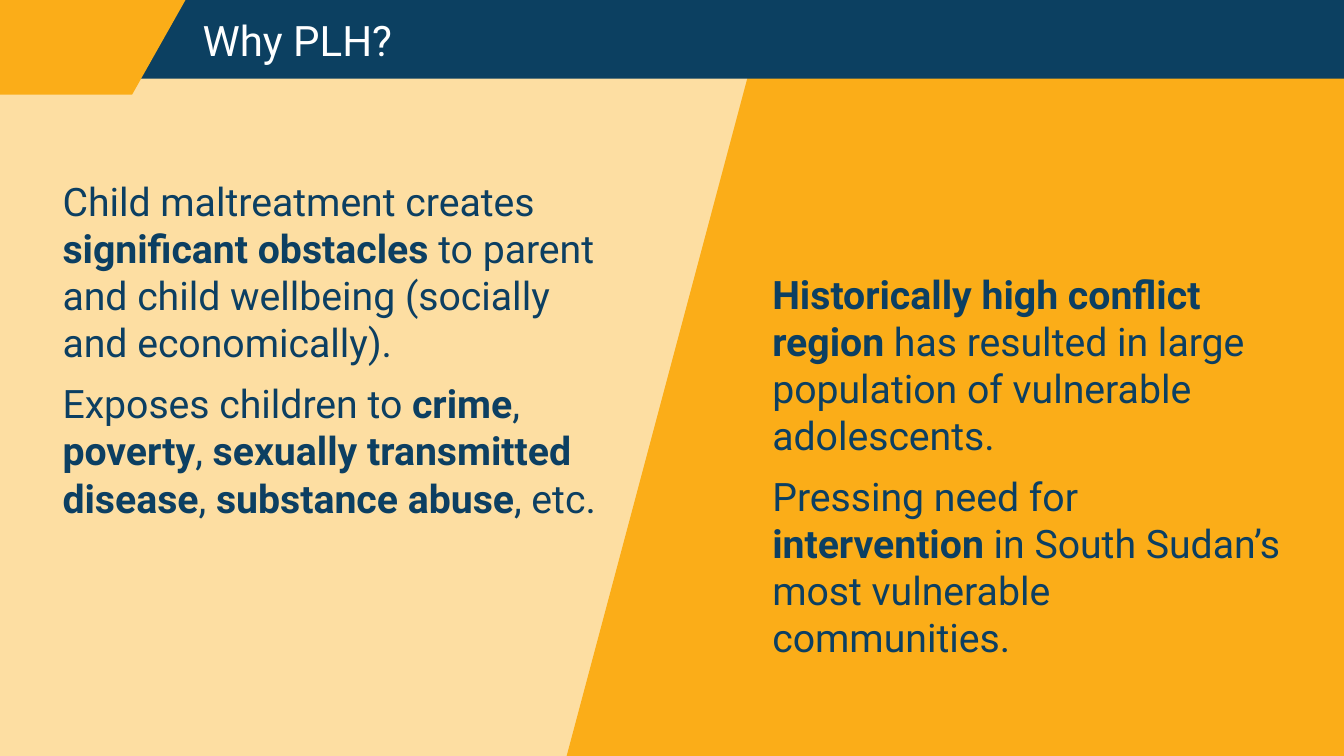
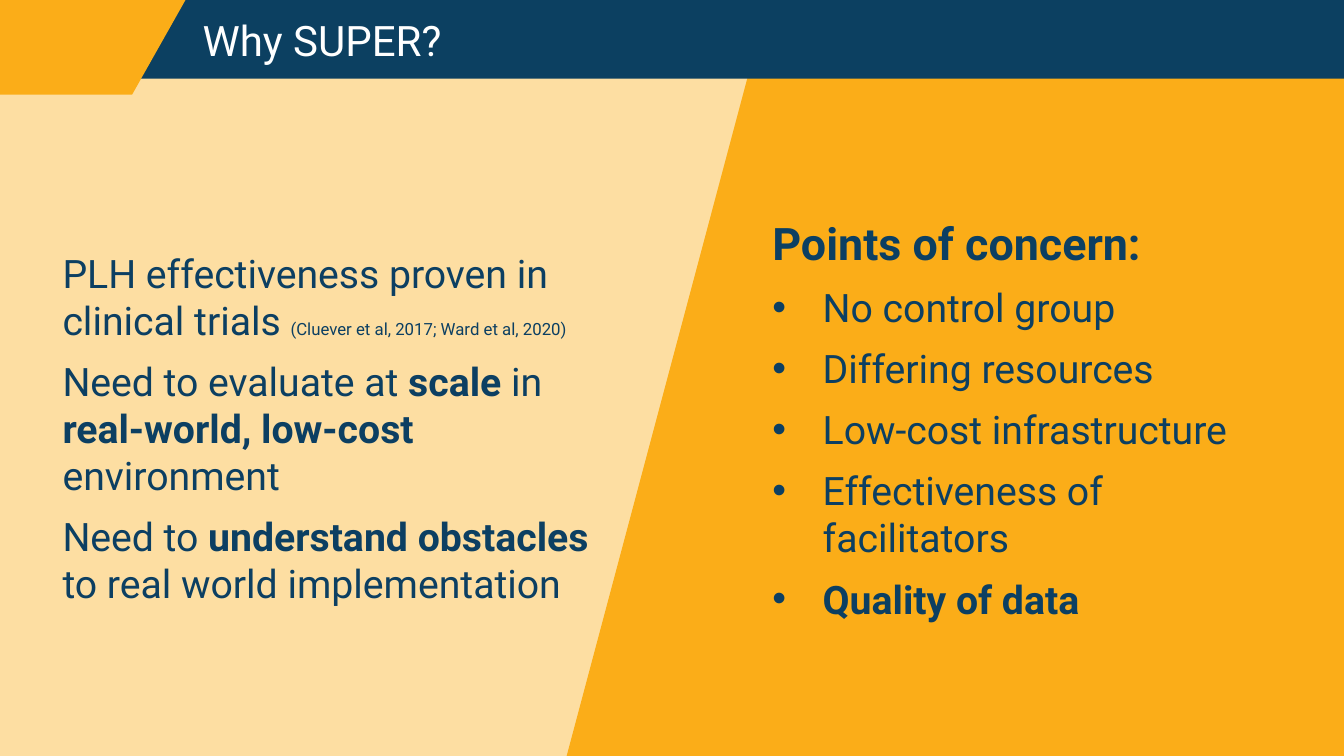
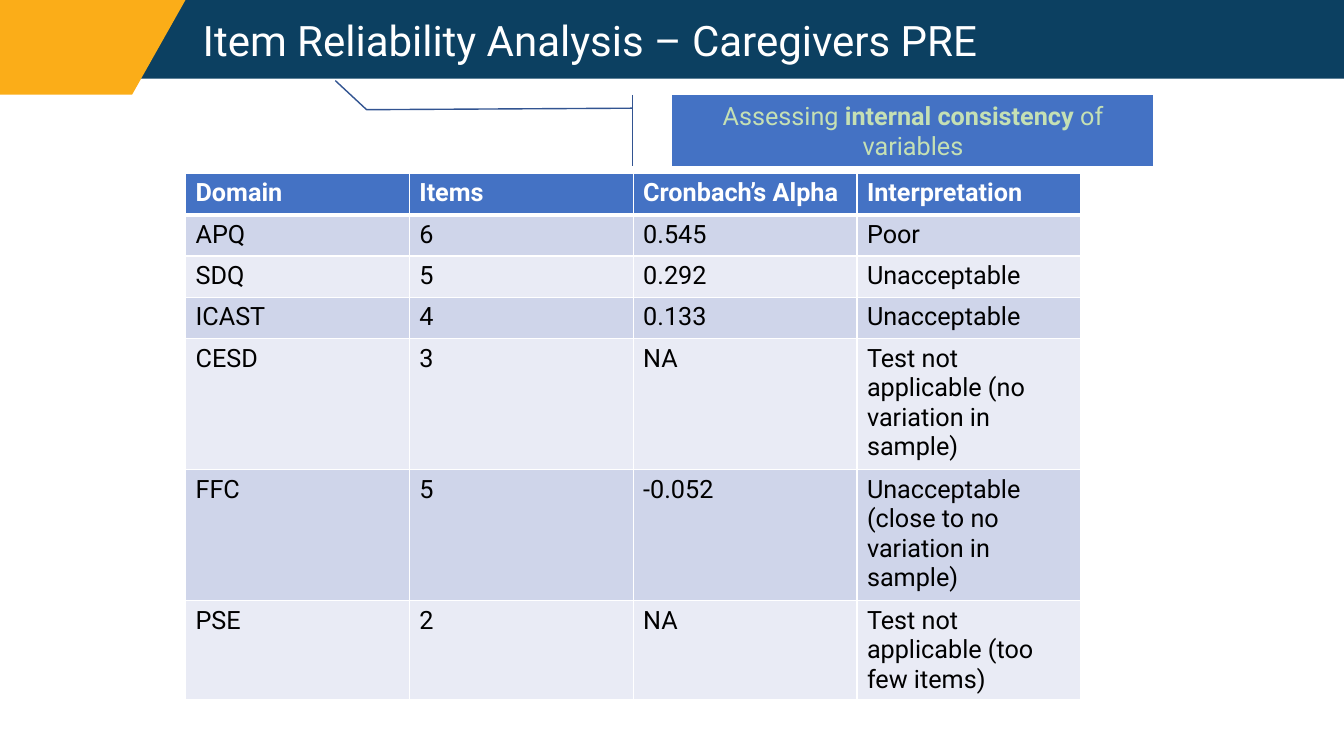
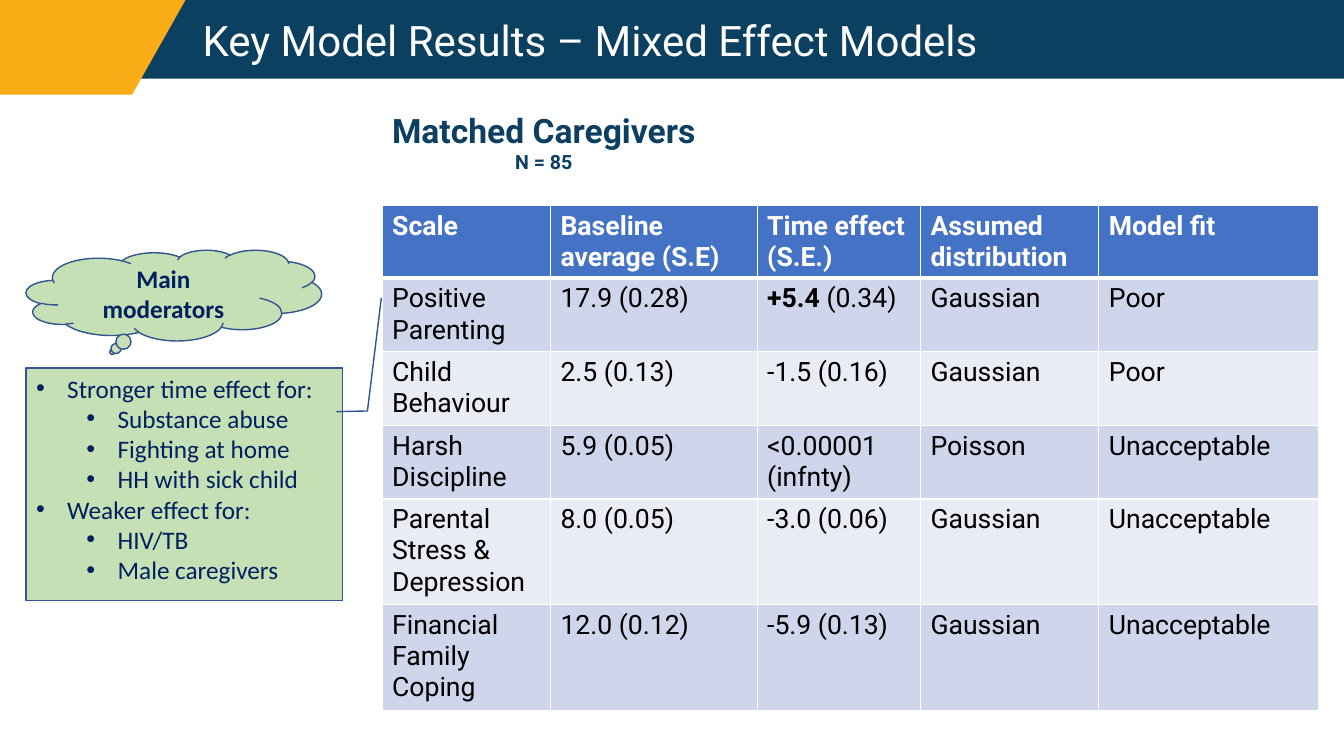
from dataclasses import dataclass

from lxml import etree
from pptx import Presentation
from pptx import util as u
from pptx.dml import color
from pptx.enum import shapes, text
from pptx.oxml import ns

NAVY, GOLD, WHITE, BLACK = "0C4061", "FBAD18", "FFFFFF", "000000"
INK, DEEP, BLUE, EDGE, GREEN = "0C3F62", "002060", "4472C4", "325491", "C5E0B4"
STRIPES = ("CFD5EA", "E9EBF5")
WIDE, HIGH, BAND = 13.33, 7.5, 0.71
KIND, ALIGN, ANCHOR = shapes.MSO_SHAPE, text.PP_ALIGN, text.MSO_ANCHOR


@dataclass
class Box:
    left: float
    top: float
    width: float
    height: float

    def lengths(self) -> list:
        return [u.Inches(n) for n in (self.left, self.top, self.width, self.height)]


@dataclass
class Line:
    """One paragraph; *stars* mark bold words and small is a trailing note."""
    text: str
    size: float = 28
    small: str = ""
    bullet: bool = False


@dataclass
class Column:
    box: Box
    lines: list


@dataclass
class Grid:
    box: Box
    cols: list
    rows: list
    size: float
    cells: list


# Formatting helpers
def rgb(code: str) -> color.RGBColor:
    return color.RGBColor.from_string(code)


def sub(node, tag: str, **attrs):
    return etree.SubElement(node, ns.qn(tag), attrs)


def paint(shape, fill: str, line: str = "", alpha: int = 100) -> None:
    shape.shadow.inherit = False
    shape.fill.solid()
    shape.fill.fore_color.rgb = rgb(fill)
    if alpha < 100:
        tint = shape.fill._xPr.find(".//" + ns.qn("a:srgbClr"))
        sub(tint, "a:alpha", val=str(alpha * 1000))
    if line:
        shape.line.color.rgb = rgb(line)
        shape.line.width = u.Pt(1)
    else:
        shape.line.fill.background()


def write(frame, words: str, size: float = 18, face: str = "Roboto", ink: str = INK,
          bold: bool = False, align=ALIGN.LEFT, after: float = 0, spacing: float = 1,
          left: float = 0, hang: float = 0, level: int = 0, small: str = "") -> None:
    """Add one paragraph; a hanging indent brings a bullet."""
    par = frame.paragraphs[0] if not frame.text else frame.add_paragraph()
    par.alignment, par.level, par.line_spacing = align, level, spacing
    par.space_before, par.space_after = u.Pt(0), u.Pt(after)
    props = par._p.get_or_add_pPr()
    props.set("marL", str(u.Inches(left)))
    props.set("indent", str(-u.Inches(hang)))
    if hang:
        sub(props, "a:buFont", typeface="Arial")
        sub(props, "a:buChar", char="•")
    else:
        sub(props, "a:buNone")
    parts = [(part, size, bold or i % 2 == 1) for i, part in enumerate(words.split("*"))]
    parts.append((small, 12, bold))
    for part, points, heavy in parts:
        if part:
            run = par.add_run()
            run.text = part
            run.font.name, run.font.size, run.font.bold = face, u.Pt(points), heavy
            run.font.color.rgb = rgb(ink)


def setup(frame, inset: tuple = (0.1, 0.05), anchor=ANCHOR.TOP) -> None:
    frame.word_wrap, frame.auto_size = True, text.MSO_AUTO_SIZE.NONE
    frame.vertical_anchor = anchor
    frame.margin_left = frame.margin_right = u.Inches(inset[0])
    frame.margin_top = frame.margin_bottom = u.Inches(inset[1])


# Shapes
def add(tree, kind, box: Box, fill: str, line: str = "", anchor=ANCHOR.MIDDLE, adjust: tuple = ()):
    shape = tree.add_shape(kind, *box.lengths())
    paint(shape, fill, line)
    for i, value in enumerate(adjust):
        shape.adjustments[i] = value
    setup(shape.text_frame, anchor=anchor)
    return shape


def outline(slide, points: list, alpha: int = 100) -> None:
    spots = [(u.Inches(x), u.Inches(y)) for x, y in points]
    pen = slide.shapes.build_freeform(*spots[0])
    pen.add_line_segments(spots[1:], close=True)
    paint(pen.convert_to_shape(), GOLD, alpha=alpha)


def place(slide, holder, box: Box) -> None:
    """Move a placeholder and bring it to the front."""
    holder.left, holder.top, holder.width, holder.height = box.lengths()
    slide.shapes._spTree.append(holder._element)


def header(slide, words: str) -> None:
    add(slide.shapes, KIND.RECTANGLE, Box(1.31, 0, 12.02, 0.78), NAVY)
    outline(slide, [(0, 0), (1.84, 0), (1.31, 0.94), (0, 0.94)])
    title = slide.shapes.title
    place(slide, title, Box(1.91, 0.15, 11.42, 0.56))
    setup(title.text_frame, anchor=ANCHOR.MIDDLE)
    write(title.text_frame, words, size=30, ink=WHITE, spacing=0.9)


def split(deck, words: str, *columns: Column) -> None:
    """Slide with a pale left half, a gold right half and a text in each."""
    slide = deck.slides.add_slide(deck.slide_layouts[3])
    bodies = [h for h in slide.placeholders if h.placeholder_format.idx]
    outline(slide, [(7.43, BAND), (WIDE, BAND), (WIDE, HIGH), (5.62, HIGH)])
    outline(slide, [(0, BAND), (8.39, BAND), (5.78, HIGH), (0, HIGH)], alpha=40)
    header(slide, words)
    for body, column in zip(bodies, columns):
        place(slide, body, column.box)
        setup(body.text_frame, (0.18, 0.18))
        for line in column.lines:
            dent = 0.5 if line.bullet else 0
            write(body.text_frame, line.text, size=line.size, after=10,
                  left=dent, hang=dent, small=line.small)


def plain(deck, words: str):
    slide = deck.slides.add_slide(deck.slide_layouts[5])
    header(slide, words)
    return slide


# Tables
def edge(cell, side: str, points: float) -> None:
    line = sub(cell._tc.get_or_add_tcPr(), "a:ln" + side, w=str(u.Pt(points)))
    sub(sub(line, "a:solidFill"), "a:srgbClr", val=WHITE)


def table(slide, grid: Grid) -> None:
    frame = slide.shapes.add_table(len(grid.rows), len(grid.cols), *grid.box.lengths())
    for col, width in zip(frame.table.columns, grid.cols):
        col.width = u.Inches(width)
    for r, (row, height) in enumerate(zip(frame.table.rows, grid.rows)):
        row.height = u.Inches(height)
        head = r == 0
        for cell, words in zip(row.cells, grid.cells[r]):
            for side in "LRTB":
                thick = (r, side) in ((0, "B"), (1, "T"))
                edge(cell, side, 3 if thick else 1)
            cell.fill.solid()
            cell.fill.fore_color.rgb = rgb(BLUE if head else STRIPES[(r - 1) % 2])
            for part in words.split("\n"):
                write(cell.text_frame, part, size=grid.size, bold=head,
                      ink=WHITE if head else BLACK)


# Content
ALPHA = Grid(Box(1.84, 1.72, 8.88, 5.22), [2.22] * 4, [0.41] * 4 + [1.3, 1.3, 0.98], 18, [
    ("Domain", "Items", "Cronbach’s Alpha", "Interpretation"),
    ("APQ", "6", "0.545", "Poor"),
    ("SDQ", "5", "0.292", "Unacceptable"),
    ("ICAST", "4", "0.133", "Unacceptable"),
    ("CESD", "3", "NA", "Test not applicable (no variation in sample)"),
    ("FFC", "5", "-0.052", "Unacceptable (close to no variation in sample)"),
    ("PSE", "2", "NA", "Test not applicable (too few items)"),
])
MODELS = Grid(Box(3.79, 2.04, 9.29, 5.01), [1.67, 2.05, 1.62, 1.77, 2.18],
              [0.72] + [0.73] * 3 + [1.05] * 2, 19, [
    ("Scale", "Baseline average (S.E)", "Time effect\n(S.E.)", "Assumed distribution", "Model fit"),
    ("Positive Parenting", "17.9 (0.28)", "*+5.4 *(0.34)", "Gaussian", "Poor"),
    ("Child Behaviour", "2.5 (0.13)", "-1.5 (0.16)", "Gaussian", "Poor"),
    ("Harsh Discipline", "5.9 (0.05)", "<0.00001 (infnty)", "Poisson", "Unacceptable"),
    ("Parental Stress & Depression", "8.0 (0.05)", "-3.0 (0.06)", "Gaussian", "Unacceptable"),
    ("Financial Family Coping", "12.0 (0.12)", "-5.9 (0.13)", "Gaussian", "Unacceptable"),
])
EFFECTS = [
    ("Stronger time effect for:", ("Substance abuse", "Fighting at home", "HH with sick child")),
    ("Weaker effect for:", ("HIV/TB", "Male caregivers")),
]


def items(deck) -> None:
    slide = plain(deck, "Item Reliability Analysis – Caregivers PRE")
    table(slide, ALPHA)
    note = add(slide.shapes, KIND.LINE_CALLOUT_2_ACCENT_BAR, Box(6.67, 0.94, 4.77, 0.71),
               BLUE, EDGE, adjust=(0.188, -0.083, 0.209, -0.636, -0.198, -0.701))
    write(note.text_frame, "Assessing *internal consistency *of variables",
          ink=GREEN, align=ALIGN.CENTER)


def results(deck) -> None:
    slide = plain(deck, "Key Model Results – Mixed Effect Models")
    table(slide, MODELS)
    label = slide.shapes.add_textbox(*Box(3.79, 1.04, 3.47, 0.74).lengths()).text_frame
    setup(label)
    label.word_wrap, label.auto_size = False, text.MSO_AUTO_SIZE.SHAPE_TO_FIT_TEXT
    write(label, "Matched Caregivers", size=24, bold=True)
    write(label, "N = 85", size=14, bold=True, align=ALIGN.CENTER)

    # Moderators: list with a leader line, and a cloud above it
    group = slide.shapes.add_group_shape().shapes
    panel = add(group, KIND.LINE_CALLOUT_2, Box(0.26, 3.65, 3.14, 2.31), GREEN, EDGE,
                ANCHOR.TOP, (0.188, 0.02, 0.185, -0.078, -0.301, -0.122))
    panel._element.spPr.xfrm.set("flipH", "1")
    style = dict(face="Calibri", ink=DEEP)
    for lead, points in EFFECTS:
        write(panel.text_frame, lead, left=0.31, hang=0.31, **style)
        for point in points:
            write(panel.text_frame, point, left=0.81, hang=0.31, level=1, **style)
    cloud = add(group, KIND.CLOUD_CALLOUT, Box(0.26, 2.48, 2.93, 0.9), GREEN, EDGE)
    write(cloud.text_frame, "Main moderators", bold=True, align=ALIGN.CENTER, **style)


def main() -> None:
    deck = Presentation()
    deck.slide_width, deck.slide_height = u.Inches(WIDE), u.Inches(HIGH)
    split(
        deck, "Why PLH?",
        Column(Box(0.44, 1.58, 5.68, 4.3), [
            Line("Child maltreatment creates *significant obstacles *to parent and child "
                 "wellbeing (socially and economically)."),
            Line("Exposes children to *crime*, *poverty*, *sexually transmitted disease*, "
                 "*substance abuse*, etc."),
        ]),
        Column(Box(7.48, 2.5, 5.41, 4.3), [
            Line("*Historically high conflict region *has resulted in large population of "
                 "vulnerable adolescents."),
            Line("Pressing need for *intervention* in South Sudan’s most vulnerable "
                 "communities."),
        ]),
    )
    split(
        deck, "Why SUPER?",
        Column(Box(0.44, 2.29, 5.68, 5.1), [
            Line("PLH effectiveness proven in clinical trials ",
                 small="(Cluever et al, 2017; Ward et al, 2020)"),
            Line("Need to evaluate at *scale *in *real-world, low-cost *environment"),
            Line("Need to *understand obstacles* to real world implementation"),
        ]),
        Column(Box(7.48, 1.96, 5.41, 4.58), [
            Line("*Points of concern:*", size=32),
            *(Line(point, bullet=True) for point in (
                "No control group", "Differing resources", "Low-cost infrastructure",
                "Effectiveness of facilitators", "*Quality of data*")),
        ]),
    )
    items(deck)
    results(deck)
    deck.save("out.pptx")


if __name__ == "__main__":
    main()
